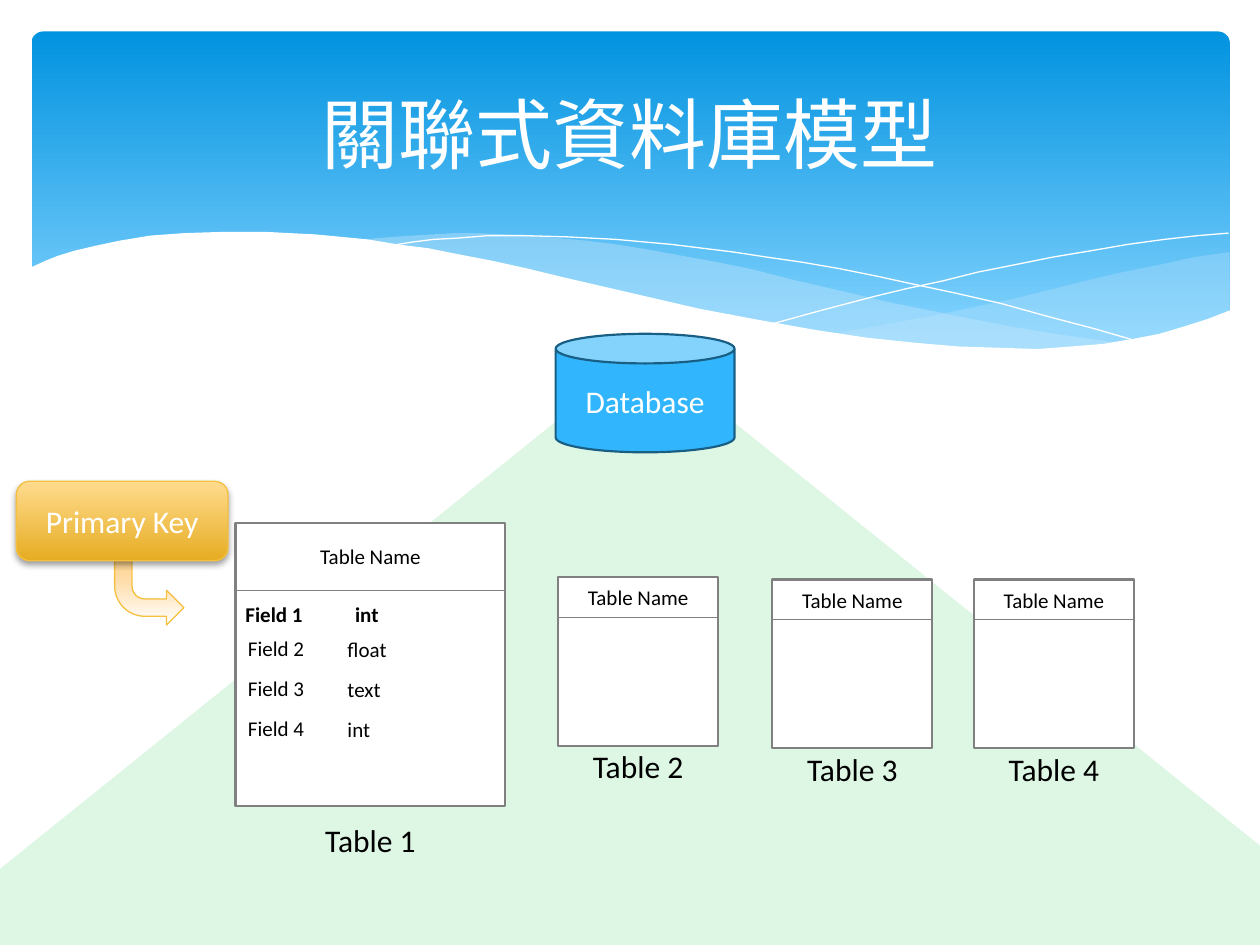
from lxml.etree import SubElement
from pptx import Presentation
from pptx.dml.color import RGBColor
from pptx.enum.shapes import MSO_CONNECTOR as CONNECTOR, MSO_SHAPE as SHAPE
from pptx.enum.text import MSO_ANCHOR as ANCHOR, PP_ALIGN as ALIGN
from pptx.oxml.ns import qn
from pptx.util import Inches, Pt

COLORS = {
    "white": "FFFFFF", "black": "000000", "grey": "808080",
    "sky_top": "0293E0", "sky_low": "83D3FE", "wave": "C6E7FC",
    "fan": "DEF6E4", "blue": "31B6FD", "navy": "195F84",
    "gold": "F5C040", "gold_top": "FFDB8E", "gold_low": "E6AD22",
    "peach": "FFDDAA", "amber": "F4BB4A",
}

# Wave outlines as (x, y) in inches
RIGHT_WAVE = [
    (9.76, 2), (9.48, 2.04), (9.21, 2.1), (8.91, 2.16), (8.61, 2.23), (8.05, 2.37),
    (7.53, 2.48), (7.06, 2.57), (6.61, 2.65), (6.91, 2.69), (7.19, 2.72), (7.45, 2.75),
    (7.69, 2.77), (8.03, 2.78), (8.35, 2.77), (8.63, 2.75), (8.89, 2.72), (9.13, 2.67),
    (9.35, 2.62), (9.49, 2.57), (9.63, 2.52), (9.76, 2.47)]
MIDDLE_WAVE = [
    (8.93, 2.73), (8.66, 2.69), (8.37, 2.65), (8.07, 2.6), (7.75, 2.54), (7.41, 2.47),
    (7.06, 2.4), (6.68, 2.31), (6.29, 2.22), (5.98, 2.14), (5.69, 2.08), (5.41, 2.03),
    (5.14, 1.98), (4.89, 1.94), (4.65, 1.91), (4.42, 1.89), (4.2, 1.87), (3.99, 1.86),
    (3.8, 1.85), (3.61, 1.85), (3.28, 1.87), (2.99, 1.89), (2.86, 1.91), (3.23, 1.96),
    (3.62, 2.03), (4.04, 2.11), (4.49, 2.22), (4.91, 2.32), (5.3, 2.4), (5.66, 2.48),
    (6.01, 2.55), (6.34, 2.61), (6.65, 2.66), (6.95, 2.7), (7.22, 2.74), (7.48, 2.76),
    (7.73, 2.77), (7.96, 2.78), (8.28, 2.78), (8.57, 2.77), (8.76, 2.75)]
FALLING_CURVE = [
    (3.09, 1.95), (3.28, 1.92), (3.44, 1.9), (3.63, 1.89), (3.87, 1.87), (4.16, 1.87),
    (4.5, 1.88), (4.89, 1.9), (5.33, 1.94), (5.82, 2), (6.08, 2.04), (6.36, 2.08),
    (6.65, 2.13), (6.95, 2.19), (7.27, 2.26), (7.6, 2.33), (7.95, 2.41), (8.31, 2.51),
    (8.69, 2.61), (9.07, 2.72)]
RISING_CURVE = [
    (6.13, 2.57), (6.53, 2.46), (6.95, 2.35), (7.2, 2.29), (7.48, 2.23), (7.76, 2.16),
    (8.06, 2.1), (8.36, 2.04), (8.66, 1.99), (8.95, 1.94), (9.24, 1.9), (9.51, 1.87),
    (9.75, 1.85)]
WHITE_WAVE = [
    (9.77, 2.46), (9.59, 2.53), (9.4, 2.59), (9.2, 2.65), (8.99, 2.69), (8.75, 2.73),
    (8.5, 2.75), (8.23, 2.77), (7.93, 2.76), (7.61, 2.75), (7.26, 2.72), (6.88, 2.68),
    (6.48, 2.62), (6.03, 2.54), (5.55, 2.45), (5.03, 2.33), (4.47, 2.2), (4.18, 2.13),
    (3.91, 2.07), (3.65, 2.02), (3.4, 1.97), (3.16, 1.94), (2.92, 1.9), (2.71, 1.88),
    (2.5, 1.86), (2.3, 1.85), (2.11, 1.84), (1.77, 1.84), (1.46, 1.85), (1.19, 1.87),
    (0.95, 1.91), (0.76, 1.95), (0.59, 1.99), (0.46, 2.03), (0.36, 2.07), (0.23, 2.13),
    (0.23, 3.29), (9.77, 3.29)]


def rgb(name):
    return RGBColor.from_string(COLORS[name])


def paint(sp, fill=None, line=None, width=0.75, alpha=None):
    sp.shadow.inherit = False
    if fill:
        sp.fill.solid()
        sp.fill.fore_color.rgb = rgb(fill)
        if alpha:
            color = sp._element.spPr.find(f"{qn('a:solidFill')}/{qn('a:srgbClr')}")
            SubElement(color, qn("a:alpha"), val=str(alpha * 1000))
    else:
        sp.fill.background()
    if line:
        sp.line.color.rgb = rgb(line)
        sp.line.width = Pt(width)
    else:
        sp.line.fill.background()


def paint_gradient(sp, stops):
    """Fill from top to bottom with (percent, colour) stops."""
    sp.fill.gradient()
    sp.fill.gradient_angle = 270
    stop_list = sp._element.spPr.find(f"{qn('a:gradFill')}/{qn('a:gsLst')}")
    for old in list(stop_list):
        stop_list.remove(old)
    for percent, name in stops:
        stop = SubElement(stop_list, qn("a:gs"), pos=str(percent * 1000))
        SubElement(stop, qn("a:srgbClr"), val=COLORS[name])


def add_shape(slide, kind, x, y, w, h, **style):
    sp = slide.shapes.add_shape(kind, Inches(x), Inches(y), Inches(w), Inches(h))
    paint(sp, **style)
    return sp


def add_outline(slide, points, closed=True, **style):
    (x, y), *rest = [(Inches(px), Inches(py)) for px, py in points]
    builder = slide.shapes.build_freeform(x, y)
    builder.add_line_segments(rest, close=closed)
    paint(builder.convert_to_shape(), **style)


def write(sp, text, size, color="black", align=ALIGN.CENTER, bold=False, font="Calibri"):
    tf = sp.text_frame
    tf.word_wrap = True
    tf.vertical_anchor = ANCHOR.MIDDLE
    p = tf.paragraphs[0]
    p.alignment = align
    r = p.add_run()
    r.text = text
    r.font.size, r.font.bold, r.font.name = Pt(size), bold, font
    r.font.color.rgb = rgb(color)
    SubElement(r._r.get_or_add_rPr(), qn("a:ea"), typeface=font)


def add_text(slide, text, x, y, w, h, size, **style):
    box = slide.shapes.add_textbox(Inches(x), Inches(y), Inches(w), Inches(h))
    write(box, text, size, **style)
    tf = box.text_frame
    tf.margin_top = tf.margin_bottom = 0


def add_db_table(slide, label, x, y, w, h):
    """Draw a table box with a name row and a label below it."""
    head = 0.238 * h
    add_shape(slide, SHAPE.RECTANGLE, x, y, w, h, fill="white", line="grey", width=1.25)
    divider = slide.shapes.add_connector(
        CONNECTOR.STRAIGHT, Inches(x), Inches(y + head), Inches(x + w), Inches(y + head))
    divider.line.color.rgb = rgb("grey")
    divider.line.width = Pt(0.75)
    SubElement(divider._element.spPr, qn("a:effectLst"))
    add_text(slide, "Table Name", x, y, w, head, 12)
    add_text(slide, label, x, y + h, w, head, 18)


def add_backdrop(slide):
    sky = add_shape(slide, SHAPE.ROUNDED_RECTANGLE, 0.25, 0.25, 9.51, 2.7)
    sky.adjustments[0] = 0.034
    paint_gradient(sky, [(0, "sky_top"), (90, "sky_low")])
    add_outline(slide, RIGHT_WAVE, fill="wave", alpha=29)
    add_outline(slide, MIDDLE_WAVE, fill="wave", alpha=40)
    for curve in (FALLING_CURVE, RISING_CURVE):
        add_outline(slide, curve, closed=False, line="white", width=0)
    add_outline(slide, WHITE_WAVE, fill="white")
    add_shape(slide, SHAPE.ISOSCELES_TRIANGLE, -0.75, 2.78, 11.73, 4.72, fill="fan")


def add_title(slide, text):
    title = slide.shapes.title
    title.left, title.top, title.width, title.height = map(Inches, (0.5, 0.37, 9, 1.37))
    write(title, text, 44, color="white", font="Noto Sans CJK SC")
    slide.shapes._spTree.append(title._element)  # in front of the backdrop


def add_fields(slide):
    add_text(slide, "Field 1", 1.85, 4.74, 0.77, 0.27, 12, align=ALIGN.LEFT, bold=True)
    add_text(slide, "int", 2.72, 4.74, 1.42, 0.27, 12, align=ALIGN.LEFT, bold=True)
    for i, kind in enumerate(["float", "text", "int"]):
        y = 5.01 + 0.315 * i
        add_text(slide, f"Field {i + 2}", 1.87, y, 0.77, 0.27, 12, align=ALIGN.LEFT)
        add_text(slide, kind, 2.66, y + 0.01, 0.77, 0.27, 12, align=ALIGN.LEFT)


def add_primary_key(slide):
    arrow = add_shape(slide, SHAPE.BENT_ARROW, 0.91, 4.14, 0.55, 0.82, line="gold")
    arrow._element.spPr.find(qn("a:xfrm")).set("flipV", "1")
    paint_gradient(arrow, [(0, "white"), (44, "peach"), (100, "amber")])

    key = add_shape(slide, SHAPE.ROUNDED_RECTANGLE, 0.13, 3.82, 1.68, 0.63, line="gold")
    paint_gradient(key, [(0, "gold_top"), (100, "gold_low")])
    effects = key._element.spPr.find(qn("a:effectLst"))
    shadow = SubElement(effects, qn("a:outerShdw"), blurRad=str(Pt(4)), dist=str(Pt(2)),
                        dir="5400000", rotWithShape="0")
    color = SubElement(shadow, qn("a:srgbClr"), val=COLORS["black"])
    SubElement(color, qn("a:alpha"), val="38000")
    write(key, "Primary Key", 18, color="white")


def main():
    prs = Presentation()
    prs.slide_width, prs.slide_height = Inches(10), Inches(7.5)
    slide = prs.slides.add_slide(prs.slide_layouts[5])
    add_backdrop(slide)
    add_title(slide, "關聯式資料庫模型")

    # Tables and the database they belong to
    add_db_table(slide, "Table 1", 1.87, 4.15, 2.14, 2.25)
    for label, x, y in [("Table 2", 4.43, 4.58), ("Table 3", 6.13, 4.6), ("Table 4", 7.73, 4.6)]:
        add_db_table(slide, label, x, y, 1.27, 1.34)
    database = add_shape(slide, SHAPE.CAN, 4.41, 2.65, 1.42, 0.94,
                         fill="blue", line="navy", width=1.25)
    write(database, "Database", 18, color="white")

    # Details of the first table
    add_fields(slide)
    add_primary_key(slide)
    prs.save("out.pptx")


if __name__ == "__main__":
    main()
